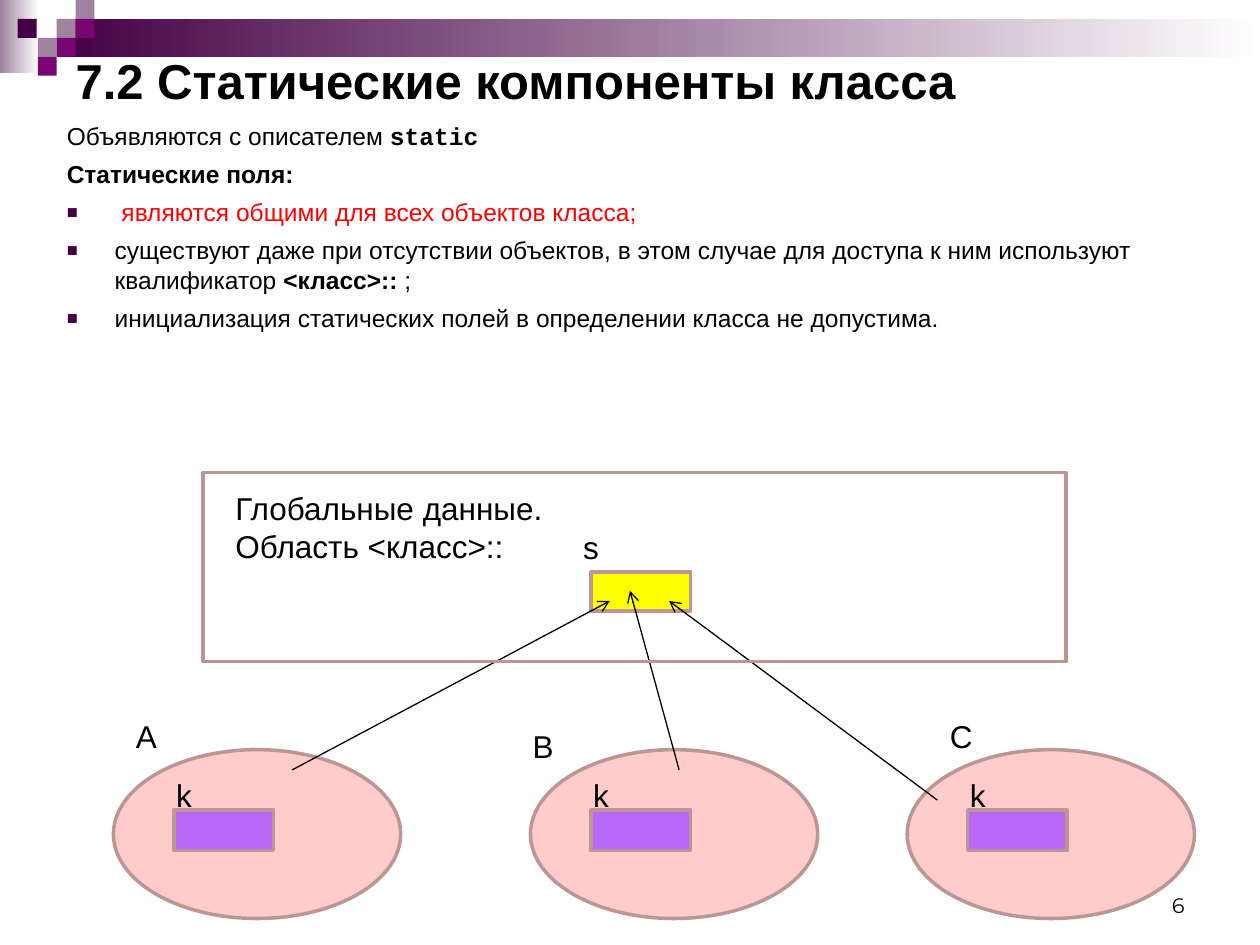
from lxml.etree import SubElement
from pptx import Presentation
from pptx.dml.color import RGBColor
from pptx.enum.shapes import MSO_CONNECTOR, MSO_SHAPE
from pptx.enum.text import MSO_ANCHOR, MSO_AUTO_SIZE, PP_ALIGN
from pptx.oxml.ns import qn
from pptx.util import Inches, Pt

COLORS = {
    "black": "000000", "white": "FFFFFF", "red": "FF0000",
    "dark": "440044", "plum": "790571", "mauve": "9F839F",
    "pink": "FFCCCC", "outline": "BC9595", "violet": "BA68F8", "yellow": "FFFF00",
}
RGB = {name: RGBColor.from_string(value) for name, value in COLORS.items()}

prs = Presentation()
prs.slide_width, prs.slide_height = Inches(10), Inches(7.5)
s = prs.slides.add_slide(prs.slide_layouts[1])


def add_block(kind, x, y, w, h, fill=None, line=None, fade=False):
    """Add a preset shape; fade makes the fill run to white at the right."""
    sp = s.shapes.add_shape(kind, Inches(x), Inches(y), Inches(w), Inches(h))
    sp.shadow.inherit = False
    if fade:
        sp.fill.gradient()
        sp.fill.gradient_angle = 0
        for stop, color in zip(sp.fill.gradient_stops, (fill, "white")):
            stop.color.rgb = RGB[color]
    elif fill:
        sp.fill.solid()
        sp.fill.fore_color.rgb = RGB[fill]
    else:
        sp.fill.background()
    if line:
        sp.line.color.rgb = RGB[line]
        sp.line.width = Pt(2)
    else:
        sp.line.fill.background()


def add_label(x, y, w, h, *lines, size=18, font="Arial"):
    tf = s.shapes.add_textbox(Inches(x), Inches(y), Inches(w), Inches(h)).text_frame
    tf.word_wrap = True
    for i, line in enumerate(lines):
        p = tf.paragraphs[0] if i == 0 else tf.add_paragraph()
        r = p.add_run()
        r.text = line
        r.font.size, r.font.name = Pt(size), font
        r.font.color.rgb = RGB["black"]
    return tf


# Header decoration
add_block(MSO_SHAPE.RECTANGLE, 0, 0, 0.31, 0.58, "mauve", fade=True)
add_block(MSO_SHAPE.RECTANGLE, 0.45, 0.15, 9.55, 0.3, "dark", fade=True)
for x, y, color in [
    (0.45, 0.15, "mauve"), (0.6, 0, "mauve"), (0.6, 0.15, "plum"), (0.3, 0.3, "mauve"),
    (0.14, 0.15, "dark"), (0.45, 0.3, "plum"), (0.3, 0.45, "plum"),
]:
    add_block(MSO_SHAPE.RECTANGLE, x, y, 0.15, 0.15, color)

# Slide number
tf = add_label(7.17, 6.83, 2.33, 0.5, "6", size=12, font="Montserrat")
tf.vertical_anchor = MSO_ANCHOR.BOTTOM
tf.paragraphs[0].alignment = PP_ALIGN.RIGHT

# Title
title = s.shapes.title
title.left, title.top, title.width, title.height = Inches(0.5), Inches(0.36), Inches(9), Inches(0.55)
tf = title.text_frame
tf.auto_size = MSO_AUTO_SIZE.NONE
tf.vertical_anchor = MSO_ANCHOR.MIDDLE
p = tf.paragraphs[0]
p.alignment = PP_ALIGN.LEFT
r = p.add_run()
r.text = "7.2 Статические компоненты класса"
r.font.size, r.font.name, r.font.bold = Pt(28), "Arial", True
r.font.color.rgb = RGB["black"]

# Body: (bulleted, [(text, bold, font, colour), ...])
paragraphs = [
    (False, [("Объявляются с описателем ", False, "Arial", "black"),
             ("static", True, "Courier New", "black")]),
    (False, [("Статические поля:", True, "Arial", "black")]),
    (True, [(" ", False, "Arial", "black"),
            ("являются общими для всех объектов класса;", False, "Arial", "red")]),
    (True, [("существуют даже при отсутствии объектов, в этом случае для доступа "
             "к ним используют квалификатор ", False, "Arial", "black"),
            ("<класс>:: ", True, "Arial", "black"),
            (";", False, "Arial", "black")]),
    (True, [("инициализация статических полей в определении класса не допустима.",
             False, "Arial", "black")]),
]
body = s.placeholders[1]
body.left, body.top, body.width, body.height = Inches(0.43), Inches(0.91), Inches(9), Inches(1.89)
tf = body.text_frame
tf.auto_size = MSO_AUTO_SIZE.NONE
for i, (bulleted, runs) in enumerate(paragraphs):
    p = tf.paragraphs[0] if i == 0 else tf.add_paragraph()
    p.space_before = Pt(5)
    pPr = p._p.get_or_add_pPr()
    pPr.set("marL", str(Inches(0.38)))
    pPr.set("indent", str(-Inches(0.38)))
    if bulleted:
        SubElement(SubElement(pPr, qn("a:buClr")), qn("a:srgbClr"), val=COLORS["dark"])
        SubElement(pPr, qn("a:buSzPct"), val="75000")
        SubElement(pPr, qn("a:buFont"), typeface="Arial")
        SubElement(pPr, qn("a:buChar"), char="■")
    else:
        SubElement(pPr, qn("a:buNone"))
    for text, bold, font, color in runs:
        r = p.add_run()
        r.text = text
        r.font.size, r.font.name, r.font.bold = Pt(14), font, bold
        r.font.color.rgb = RGB[color]

# Objects A, B, C, each with its own field k
for name, x, name_x, name_y in [
    ("A", 0.9, 0.98, 5.64), ("B", 4.21, 4.13, 5.72), ("C", 7.2, 7.44, 5.64),
]:
    add_block(MSO_SHAPE.OVAL, x, 5.95, 2.28, 1.34, "pink", "outline")
    add_label(name_x, name_y, 0.94, 0.4, name)
    add_block(MSO_SHAPE.RECTANGLE, x + 0.48, 6.43, 0.79, 0.32, "violet", "outline")
    add_label(x + 0.4, 6.11, 0.94, 0.4, "k")

# Shared static field s
add_block(MSO_SHAPE.RECTANGLE, 4.69, 4.54, 0.79, 0.31, "yellow", "outline")
add_label(4.53, 4.14, 0.94, 0.4, "s")

# Arrows from the objects to s
for x1, y1, x2, y2 in [
    (2.32, 6.11, 4.84, 4.77), (5.39, 6.11, 5, 4.69), (7.44, 6.35, 5.31, 4.77),
]:
    arrow = s.shapes.add_connector(
        MSO_CONNECTOR.STRAIGHT, Inches(x1), Inches(y1), Inches(x2), Inches(y2))
    arrow.line.color.rgb = RGB["black"]
    arrow.line.width = Pt(0.75)
    SubElement(arrow.line._get_or_add_ln(), qn("a:tailEnd"), type="arrow")
    SubElement(arrow._element.spPr, qn("a:effectLst"))

# Global data area
add_block(MSO_SHAPE.RECTANGLE, 1.61, 3.75, 6.85, 1.5, line="outline")
add_label(1.77, 3.83, 3.31, 0.7, "Глобальные данные.", "Область <класс>::")

prs.save("out.pptx")
